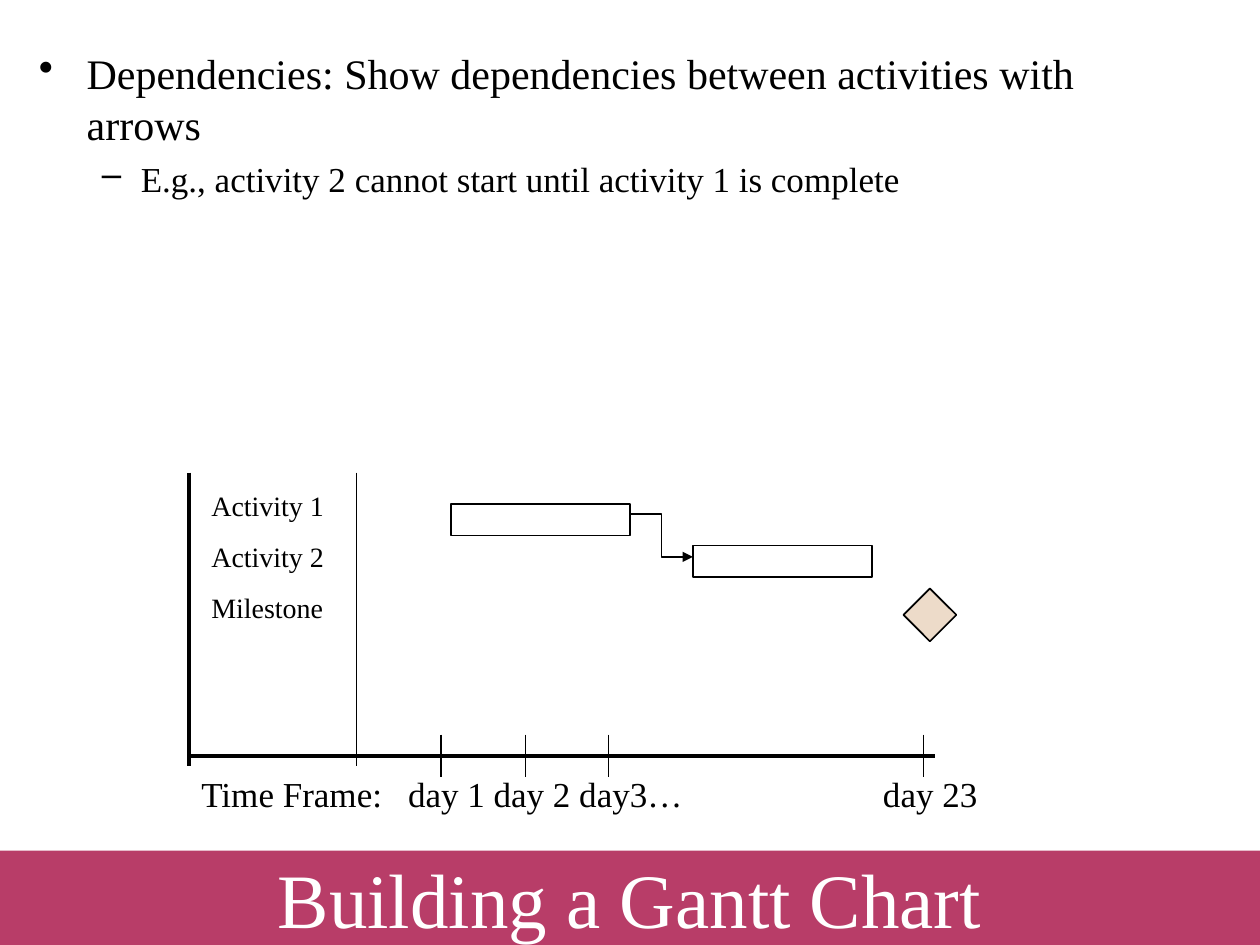
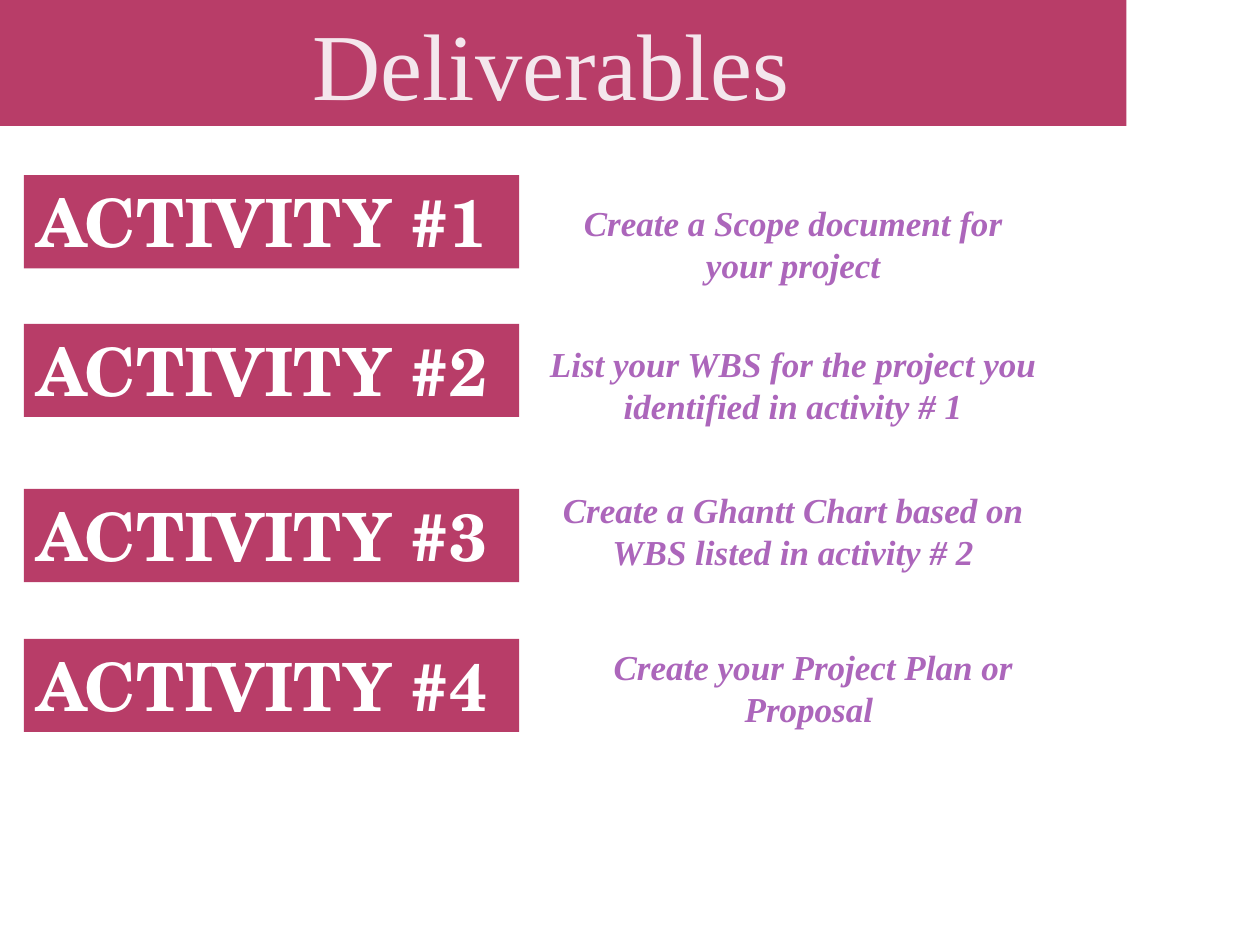
"""Build two slides: a Gantt chart sketch and a list of deliverables."""
from lxml import etree
from pptx import Presentation
from pptx import util as u
from pptx.dml.color import RGBColor
from pptx.enum import shapes, text
from pptx.oxml import ns

ROSE = RGBColor(0xB8, 0x3D, 0x68)
BLUSH = RGBColor(0xF4, 0xE7, 0xED)
PLUM = RGBColor(0xAC, 0x66, 0xBB)
SAND = RGBColor(0xED, 0xDB, 0xC9)
WHITE = RGBColor(0xFF, 0xFF, 0xFF)
BLACK = RGBColor(0, 0, 0)
SERIF = "Times New Roman"
SCHOOL = "TeX Gyre Schola"
LEFT, MID = text.PP_ALIGN.LEFT, text.PP_ALIGN.CENTER
TOP, CENTER = text.MSO_ANCHOR.TOP, text.MSO_ANCHOR.MIDDLE
FORM = shapes.MSO_SHAPE
LINK = shapes.MSO_CONNECTOR


def write(shape, lines, size, color, align=LEFT, anchor=TOP, face=SERIF, bold=False, slant=False):
    """Fill a shape with evenly styled paragraphs and return its frame."""
    frame = shape.text_frame
    frame.text = "\n".join(lines)
    frame.word_wrap = True
    frame.auto_size = text.MSO_AUTO_SIZE.NONE
    frame.vertical_anchor = anchor
    for para in frame.paragraphs:
        para.alignment = align
        font = para.font
        font.name, font.size, font.color.rgb = face, u.Pt(size), color
        font.bold, font.italic = bold, slant
    return frame


def rule(slide, start, end, width=0.75, kind=LINK.STRAIGHT):
    """Draw a black line between two points given in inches."""
    line = slide.shapes.add_connector(kind, *map(u.Inches, start + end))
    line.line.color.rgb = BLACK
    line.line.width = u.Pt(width)
    etree.SubElement(line._element.spPr, ns.qn("a:effectLst"))
    return line


deck = Presentation()
deck.slide_width, deck.slide_height = u.Inches(10), u.Inches(7.5)

bands = [
    ("Building a Gantt Chart", (0, 6.75, 10, 0.75), 44, WHITE, CENTER),
    ("Deliverables ", (0, 0, 8.94, 1), 54, BLUSH, TOP),
]
slides = []
for name, place, size, color, anchor in bands:
    slide = deck.slides.add_slide(deck.slide_layouts[5])
    title = slide.shapes.title
    title.left, title.top, title.width, title.height = map(u.Inches, place)
    title.fill.solid()
    title.fill.fore_color.rgb = ROSE
    write(title, [name], size, color, MID, anchor)
    slides.append(slide)
gantt, tasks = slides

points = [
    ("Dependencies: Show dependencies between activities with arrows", "•", 0.38, 0.38, 24),
    ("E.g., activity 2 cannot start until activity 1 is complete", "–", 0.81, 0.31, 20),
]
body = gantt.shapes.add_textbox(*map(u.Inches, (0.21, 0.33, 8.5, 2.83)))
frame = write(body, [point[0] for point in points], 24, BLACK)
for level, (para, point) in enumerate(zip(frame.paragraphs, points)):
    _, mark, margin, hang, size = point
    para.level = level
    para.font.size = u.Pt(size)
    if level:
        para.space_before = u.Pt(5)
    props = para._p.get_or_add_pPr()
    props.set("marL", str(u.Inches(margin)))
    props.set("indent", str(-u.Inches(hang)))
    bullet = etree.Element(ns.qn("a:buChar"), char=mark)
    props.find(ns.qn("a:defRPr")).addprevious(bullet)

rule(gantt, (1.5, 3.75), (1.5, 6.08), 2.25)
rule(gantt, (1.5, 6), (7.42, 6), 2.25)
rule(gantt, (2.83, 3.75), (2.83, 6.08))
for day in (3.5, 4.17, 4.83, 7.33):
    rule(gantt, (day, 5.83), (day, 6.17))

names = gantt.shapes.add_textbox(*map(u.Inches, (1.58, 3.83, 1.33, 1.18)))
frame = write(names, ["Activity 1", "Activity 2", "Milestone"], 16, BLACK)
for para in frame.paragraphs[1:]:
    para.space_before = u.Pt(10)

scale = gantt.shapes.add_textbox(*map(u.Inches, (1.5, 6.08, 6.5, 0.44)))
frame = write(scale, ["Time Frame:\tday 1 day 2 day3…\tday 23"], 20, BLACK)
props = frame.paragraphs[0]._p.get_or_add_pPr()
stops = etree.Element(ns.qn("a:tabLst"))
for stop in (1.64, 5.41):
    etree.SubElement(stops, ns.qn("a:tab"), pos=str(u.Inches(stop)), algn="l")
props.find(ns.qn("a:defRPr")).addprevious(stops)

marks = [
    (FORM.RECTANGLE, (3.58, 4, 1.42, 0.25), 0.75),
    (FORM.RECTANGLE, (5.5, 4.33, 1.42, 0.25), 0.75),
    (FORM.DIAMOND, (7.17, 4.67, 0.42, 0.42), 1),
]
for kind, place, width in marks:
    mark = gantt.shapes.add_shape(kind, *map(u.Inches, place))
    mark.shadow.inherit = False
    mark.line.color.rgb = BLACK
    mark.line.width = u.Pt(width)
    if kind == FORM.DIAMOND:
        mark.fill.solid()
        mark.fill.fore_color.rgb = SAND
    else:
        mark.fill.background()

arrow = rule(gantt, (5, 4.08), (5.5, 4.42), kind=LINK.ELBOW)
etree.SubElement(arrow.line._get_or_add_ln(), ns.qn("a:tailEnd"), type="triangle")

jobs = [
    (1.39, 4.25, 1.55, "Create a Scope document for your project"),
    (2.57, 4.25, 2.67, "List your WBS for the project you identified in activity # 1"),
    (3.88, 4.25, 3.83, "Create a Ghantt Chart based on WBS listed in activity # 2"),
    (5.07, 4.41, 5.07, "Create your Project Plan or Proposal "),
]
for count, (top, left, high, job) in enumerate(jobs, 1):
    label = tasks.shapes.add_shape(FORM.RECTANGLE, *map(u.Inches, (0.19, top, 3.93, 0.74)))
    label.shadow.inherit = False
    label.fill.solid()
    label.fill.fore_color.rgb = ROSE
    label.line.fill.background()
    write(label, [f"ACTIVITY #{count}"], 38, WHITE, face=SCHOOL, bold=True)
    note = tasks.shapes.add_textbox(*map(u.Inches, (left, high, 4.09, 0.77)))
    write(note, [job], 20, PLUM, MID, bold=True, slant=True)

deck.save("out.pptx")
